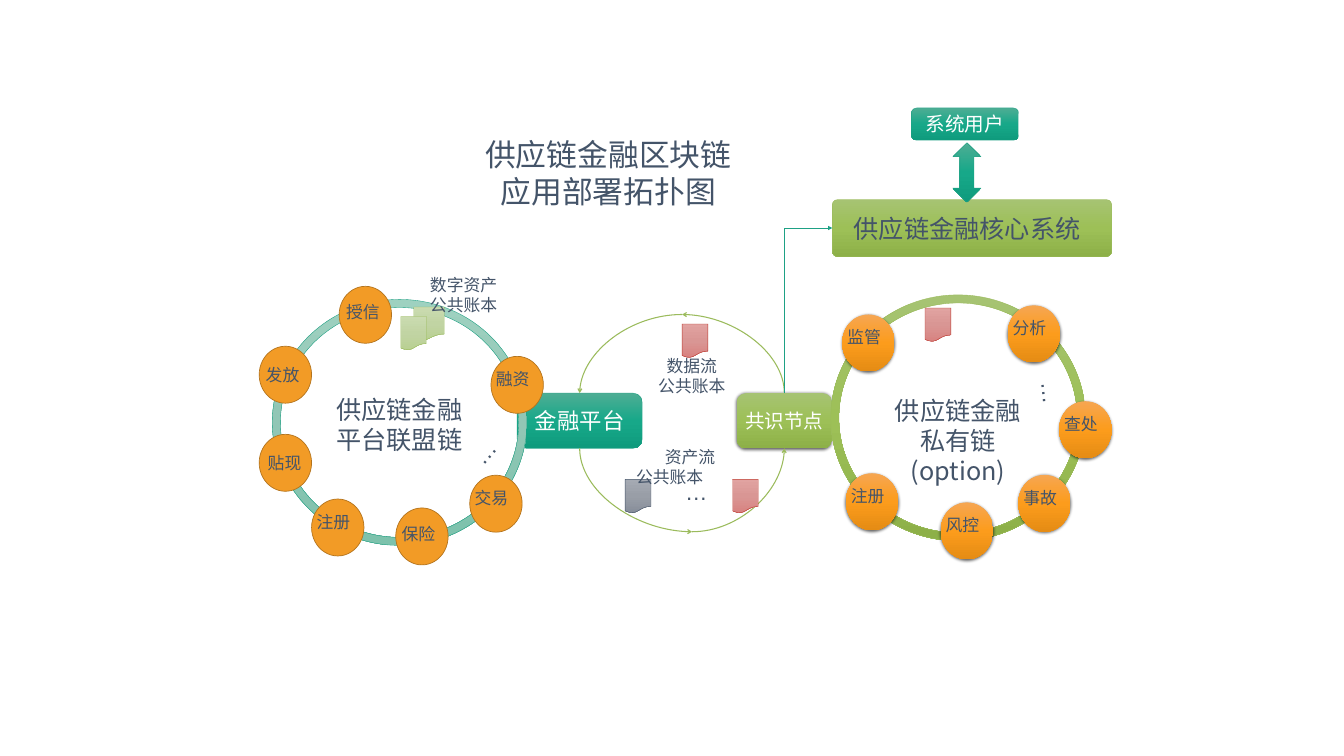
"""Draw the deployment topology of a supply chain finance blockchain."""
import pptx
import pptx.dml.color
import pptx.enum.shapes
import pptx.enum.text
import pptx.oxml
import pptx.oxml.ns
import pptx.util

Cm = pptx.util.Cm
SHAPE = pptx.enum.shapes.MSO_SHAPE
CONNECTOR = pptx.enum.shapes.MSO_CONNECTOR
ALIGN = pptx.enum.text.PP_ALIGN
NAMESPACE = pptx.oxml.ns.nsdecls("a")
CJK = "Noto Sans CJK SC"
COLORS = {
    "text": "445469", "white": "FFFFFF", "teal": "1EA185", "green": "9BBB5C",
    "red": "BD392F", "orange": "F29B26", "brown": "B3731C",
}
GRADIENTS = {
    "teal": ("4EAD94", "17A889", "0F9B7D"),
    "green": ("A6C372", "9DC057", "8DB048"),
    "orange": ("F6A652", "FC9C1C", "E58C14"),
    "pale_teal": ("9ED1C0", "91C6B5", "7DC2AC"),
    "pale_green": ("CADBB0", "C1D4A3", "B9D092"),
    "pale_red": ("E1A3A1", "D99694", "D88280"),
    "pale_gray": ("A5AAB3", "999EA7", "878E9A"),
}
NODE_SIZE = (2.64, 2.87)
ALLIANCE_NODES = [
    ("融资", 24.74, 17.96, 0, 0.51), ("注册", 15.7, 25.15, 0, 0.51),
    ("授信", 17.09, 14.43, 0.1, 0.66), ("保险", 19.94, 25.6, 0.05, 0.69),
    ("交易", 23.67, 23.95, 0, 0.51), ("贴现", 13.06, 21.89, 0.18, 0.81),
    ("发放", 13.06, 17.45, 0.08, 0.79),
]
PRIVATE_NODES = [
    ("注册", 42.62, 23.85), ("监管", 42.44, 15.85), ("风控", 47.4, 25.32),
    ("查处", 53.37, 20.22), ("分析", 50.77, 15.39), ("事故", 51.31, 23.93),
]


def rgb(name):
    """Return the named colour."""
    return pptx.dml.color.RGBColor.from_string(COLORS[name])


def write(shape, lines, size, color="text", font=CJK, align=ALIGN.CENTER):
    """Fill a shape with one formatted paragraph per line."""
    frame = shape.text_frame
    frame.word_wrap = True
    frame.text = "\n".join(lines)
    values = {"name": font, "size": pptx.util.Pt(size)}
    for paragraph in frame.paragraphs:
        paragraph.alignment = align
        for run in paragraph.runs:
            for attribute, value in values.items():
                setattr(run.font, attribute, value)
            run.font.color.rgb = rgb(color)
            run.font._element.append(pptx.oxml.parse_xml(
                f'<a:ea {NAMESPACE} typeface="{font}"/>'))


def add_text(slide, box, lines, size=24, rotation=0, **style):
    """Add a text box."""
    shape = slide.shapes.add_textbox(*map(Cm, box))
    shape.rotation = rotation
    write(shape, lines, size, **style)
    return shape


def set_gradient(shape, name):
    """Give a shape a vertical gradient of three colours."""
    stops = "".join(
        f'<a:gs pos="{index * 50000}"><a:srgbClr val="{color}"/></a:gs>'
        for index, color in enumerate(GRADIENTS[name]))
    shape.fill.background()
    properties = shape._element.spPr
    properties.replace(properties.find(pptx.oxml.ns.qn("a:noFill")), pptx.oxml.parse_xml(
        f'<a:gradFill {NAMESPACE} rotWithShape="1"><a:gsLst>{stops}</a:gsLst>'
        '<a:lin ang="5400000" scaled="0"/></a:gradFill>'))


def set_shadow(shape):
    """Give a shape a soft shadow below it."""
    effects = shape._element.spPr.find(pptx.oxml.ns.qn("a:effectLst"))
    effects.append(pptx.oxml.parse_xml(
        f'<a:outerShdw {NAMESPACE} blurRad="57150" dist="19050" dir="5400000" '
        'algn="ctr" rotWithShape="0"><a:srgbClr val="000000">'
        '<a:alpha val="63000"/></a:srgbClr></a:outerShdw>'))


def add_shape(slide, kind, box, gradient=None, fill=None, line=None, width=0.5,
              shadow=False, adjustment=None):
    """Add a preset shape with its fill, line and shadow."""
    shape = slide.shapes.add_shape(kind, *map(Cm, box))
    shape.shadow.inherit = False
    if adjustment is not None:
        shape.adjustments[0] = adjustment
    if gradient:
        set_gradient(shape, gradient)
    else:
        shape.fill.solid()
        shape.fill.fore_color.rgb = rgb(fill)
    if line:
        shape.line.color.rgb = rgb(line)
        shape.line.width = pptx.util.Pt(width)
    else:
        shape.line.fill.background()
    if shadow:
        set_shadow(shape)
    return shape


def add_node(slide, name, left, top, dx=0, dy=0.51, **style):
    """Add a round node and its label."""
    add_shape(slide, SHAPE.OVAL, (left, top, *NODE_SIZE), **style)
    add_text(slide, (left + dx, top + dy, 2.24, 1.27), [name], align=ALIGN.LEFT)


def add_document(slide, left, top, gradient, line, width=1.3):
    """Add a ledger document."""
    add_shape(slide, SHAPE.FLOWCHART_DOCUMENT, (left, top, width, 1.7),
              gradient=gradient, line=line)


def add_link(slide, kind, preset, start, box, site, color, width, end, arrow):
    """Join a point to a side of a box with a one-turn connector."""
    connector = slide.shapes.add_connector(kind, *map(Cm, start), *map(Cm, start))
    connector.end_connect(box, site)
    connector.line.color.rgb = rgb(color)
    connector.line.width = pptx.util.Pt(width)
    properties = connector._element.spPr
    properties.find(pptx.oxml.ns.qn("a:prstGeom")).set("prst", preset)
    connector.line._get_or_add_ln().append(
        pptx.oxml.parse_xml(f'<a:{end} {NAMESPACE} type="{arrow}"/>'))
    properties.append(pptx.oxml.parse_xml(f'<a:effectLst {NAMESPACE}/>'))
    return connector


def add_flows(slide, platform, consensus):
    """Add the loop of flows between the platform and the consensus node."""
    top, bottom = (34.37, 15.85), (34.87, 26.8)
    for start, box, site, end in [
        (top, consensus, 0, "headEnd"), (bottom, platform, 2, "headEnd"),
        (bottom, consensus, 2, "tailEnd"), (top, platform, 0, "tailEnd"),
    ]:
        add_link(slide, CONNECTOR.CURVE, "curvedConnector2", start, box, site,
                 "green", 1.5, end, "arrow")
    for left, top, gradient, line in [
        (34.37, 16.33, "pale_red", "red"), (31.5, 24.16, "pale_gray", "text"),
        (36.91, 24.16, "pale_red", "red"),
    ]:
        add_document(slide, left, top, gradient, line)
    assets = add_text(slide, (31.8, 22.38, 5.94, 2.31), ["资产流", "公共账本"])
    assets.text_frame.paragraphs[1].alignment = ALIGN.LEFT
    add_text(slide, (32.89, 17.81, 3.94, 2.31), ["数据流", "公共账本"])


def add_private_chain(slide):
    """Add the private chain ring."""
    add_text(slide, (43.97, 19.79, 8.6, 3.33), ["供应链金融", "私有链(option)"], 36)
    add_shape(slide, SHAPE.DONUT, (41.86, 14.86, 12.83, 12.4), gradient="green",
              line="green", adjustment=0.033)
    for node in PRIVATE_NODES:
        add_node(slide, *node, gradient="orange", shadow=True)
    add_document(slide, 46.61, 15.52, "pale_red", "red")


def add_alliance_chain(slide):
    """Add the platform alliance chain ring."""
    add_shape(slide, SHAPE.DONUT, (13.72, 15.09, 12.83, 12.4), gradient="pale_teal",
              line="teal", adjustment=0.033)
    add_text(slide, (16.66, 19.76, 6.93, 3.33), ["供应链金融", "平台联盟链"], 36)
    for node in ALLIANCE_NODES:
        add_node(slide, *node, fill="orange", line="brown", width=1)
    add_document(slide, 20.85, 15.47, "pale_green", "green", 1.55)
    add_text(slide, (21.39, 13.72, 3.94, 2.31), ["数字资产", "公共账本"])
    add_document(slide, 20.19, 15.95, "pale_green", "green")


def add_core_system(slide, consensus):
    """Add the core system, its users and its link to the consensus node."""
    add_shape(slide, SHAPE.ROUNDED_RECTANGLE, (41.94, 10.06, 14.07, 2.87),
              gradient="green", line="green", adjustment=0.089)
    add_text(slide, (42.14, 10.64, 13.18, 1.8), ["供应链金融核心系统"], 36)
    users = add_shape(slide, SHAPE.ROUNDED_RECTANGLE, (45.92, 5.44, 5.41, 1.63),
                      gradient="teal", line="teal")
    write(users, ["系统用户"], 28, "white")
    add_shape(slide, SHAPE.UP_DOWN_ARROW, (48.01, 7.19, 1.42, 3), gradient="teal",
              line="teal")
    add_link(slide, CONNECTOR.ELBOW, "bentConnector2", (41.94, 11.49), consensus, 0,
             "teal", 0.5, "headEnd", "triangle")


def main():
    """Build and save the slide."""
    presentation = pptx.Presentation()
    presentation.slide_width, presentation.slide_height = Cm(67.72), Cm(38.1)
    slide = presentation.slides.add_slide(presentation.slide_layouts[6])
    platform = add_shape(slide, SHAPE.ROUNDED_RECTANGLE, (26.06, 19.81, 6.3, 2.79),
                         gradient="teal", line="teal")
    write(platform, ["金融平台"], 32, "white")
    consensus = add_shape(slide, SHAPE.ROUNDED_RECTANGLE, (37.13, 19.81, 4.78, 2.79),
                          gradient="green", shadow=True)
    write(consensus, ["共识节点"], 28, "white")
    add_flows(slide, platform, consensus)
    add_private_chain(slide)
    add_alliance_chain(slide)
    for left, top, rotation in [(33.4, 23.95, 0), (51.26, 18.97, 84.3), (22.71, 21.97, 310.8)]:
        add_text(slide, (left, top, 3.38, 1.63), ["…"], 32, rotation, font="Arial")
    add_text(slide, (24.16, 6.71, 13, 4.01), ["供应链金融区块链应用部署拓扑图"], 44)
    add_core_system(slide, consensus)
    presentation.save("out.pptx")


if __name__ == "__main__":
    main()
